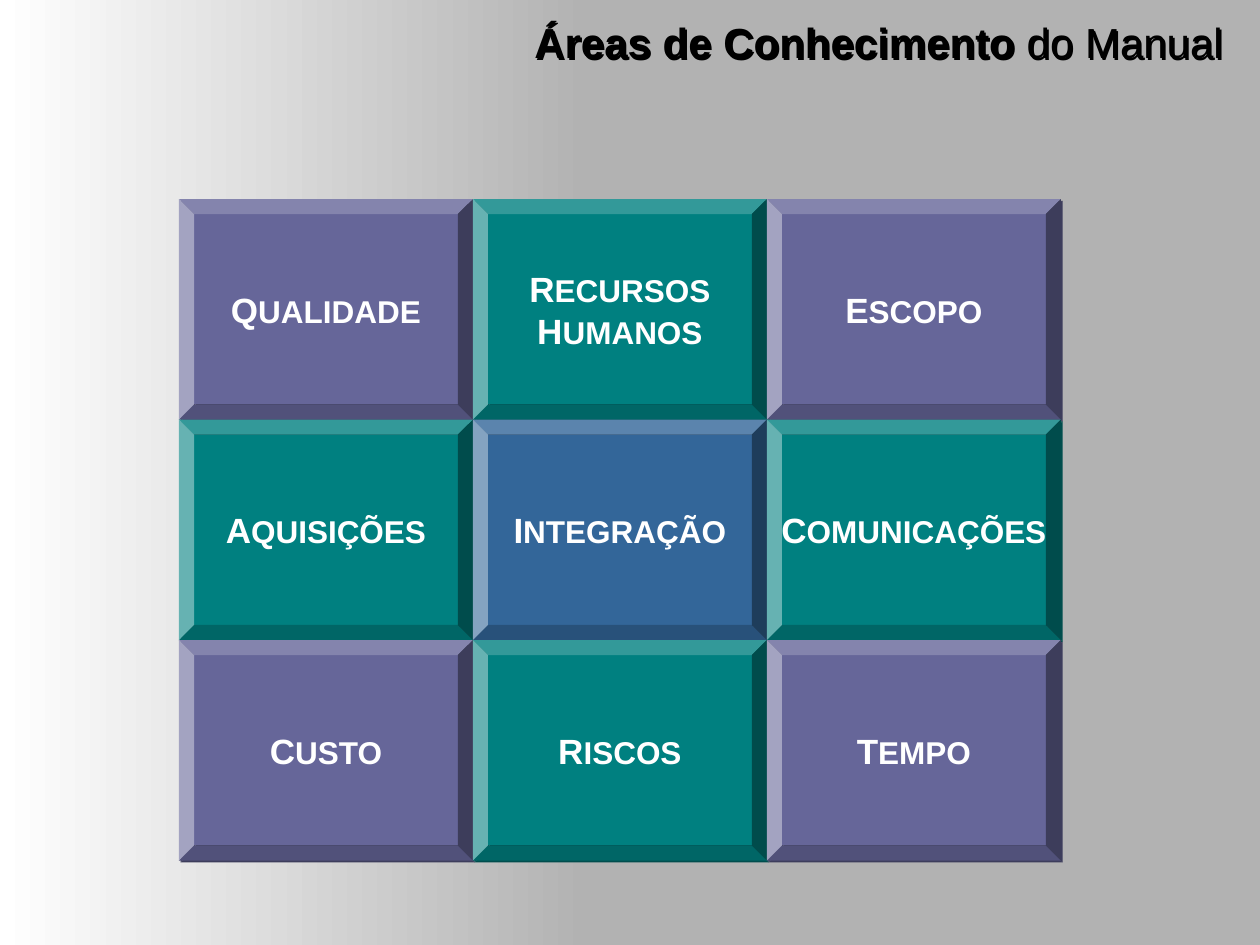
from lxml.etree import SubElement
from pptx import Presentation
from pptx.dml.color import RGBColor
from pptx.enum.shapes import MSO_SHAPE as Shape
from pptx.enum.text import MSO_ANCHOR as Anchor, MSO_AUTO_SIZE as AutoSize, PP_ALIGN as Align
from pptx.oxml.ns import qn
from pptx.util import Inches, Pt

COLORS = {
    "background": "B2B2B2",
    "white": "FFFFFF",
    "black": "000000",
    "purple": "666699",
    "purple_shadow": "3D3D5C",
    "teal": "008080",
    "teal_shadow": "004D4D",
    "blue": "336699",
    "blue_shadow": "1F3D5C",
}
AREAS = [
    [("Qualidade", "purple"), ("Recursos Humanos", "teal"), ("Escopo", "purple")],
    [("Aquisições", "teal"), ("Integração", "blue"), ("Comunicações", "teal")],
    [("Custo", "purple"), ("Riscos", "teal"), ("Tempo", "purple")],
]
GRID_LEFT, GRID_TOP = 1.42, 1.58
TILE_WIDTH, TILE_HEIGHT = 7 / 3, 1.75
BEVEL_DEPTH = 0.12


def color(name):
    return RGBColor.from_string(COLORS[name])


def set_attributes(target, values):
    for name, value in values.items():
        setattr(target, name, value)


def add_run(paragraph, text, size, color_name, bold=True):
    run = paragraph.add_run()
    run.text = text
    set_attributes(run.font, {"name": "Arial", "size": Pt(size), "bold": bold})
    run.font.color.rgb = color(color_name)


def add_shadow(shape, color_name):
    shape.shadow.inherit = False
    effects = shape._element.spPr.find(qn("a:effectLst"))
    shadow = SubElement(effects, qn("a:outerShdw"), dist=str(Pt(1.4)), dir="2700000",
                        algn="ctr", rotWithShape="0")
    SubElement(shadow, qn("a:srgbClr"), val=COLORS[color_name])


def add_background(slide):
    slide.background.fill.solid()
    slide.background.fill.fore_color.rgb = color("background")
    panel = slide.shapes.add_shape(Shape.RECTANGLE, 0, 0, Inches(4.67), Inches(7.5))
    panel.shadow.inherit = False
    panel.line.fill.background()
    panel.fill.gradient()
    panel.fill.gradient_angle = 0
    for stop, name in zip(panel.fill.gradient_stops, ("white", "background")):
        stop.color.rgb = color(name)


def add_tile(slide, row, column, label, color_name):
    tile = slide.shapes.add_shape(
        Shape.BEVEL,
        Inches(GRID_LEFT + column * TILE_WIDTH), Inches(GRID_TOP + row * TILE_HEIGHT),
        Inches(TILE_WIDTH), Inches(TILE_HEIGHT))
    tile.adjustments[0] = BEVEL_DEPTH / TILE_HEIGHT
    tile.fill.solid()
    tile.fill.fore_color.rgb = color(color_name)
    tile.line.fill.background()
    add_shadow(tile, color_name + "_shadow")
    frame = tile.text_frame
    set_attributes(frame, {"word_wrap": False, "vertical_anchor": Anchor.MIDDLE})
    for index, word in enumerate(label.upper().split()):
        paragraph = frame.add_paragraph() if index else frame.paragraphs[0]
        paragraph.alignment = Align.CENTER
        add_run(paragraph, word[0], 20, "white")
        add_run(paragraph, word[1:], 18, "white")


def add_title(slide):
    title = slide.shapes.title
    set_attributes(title, {"left": Inches(4.14), "top": Inches(0.08),
                           "width": Inches(5.77), "height": Inches(0.5)})
    set_attributes(title.text_frame, {"word_wrap": False, "vertical_anchor": Anchor.TOP,
                                      "auto_size": AutoSize.SHAPE_TO_FIT_TEXT,
                                      "margin_right": 0})
    add_shadow(title, "black")
    paragraph = title.text_frame.paragraphs[0]
    paragraph.alignment = Align.LEFT
    add_run(paragraph, "Áreas de Conhecimento ", 24, "black")
    add_run(paragraph, "do Manual", 24, "black", bold=False)
    title._element.getparent().append(title._element)


def main():
    presentation = Presentation()
    set_attributes(presentation, {"slide_width": Inches(10), "slide_height": Inches(7.5)})
    slide = presentation.slides.add_slide(presentation.slide_layouts[5])
    add_background(slide)
    for row, areas in enumerate(AREAS):
        for column, (label, color_name) in enumerate(areas):
            add_tile(slide, row, column, label, color_name)
    add_title(slide)
    presentation.save("out.pptx")


if __name__ == "__main__":
    main()
